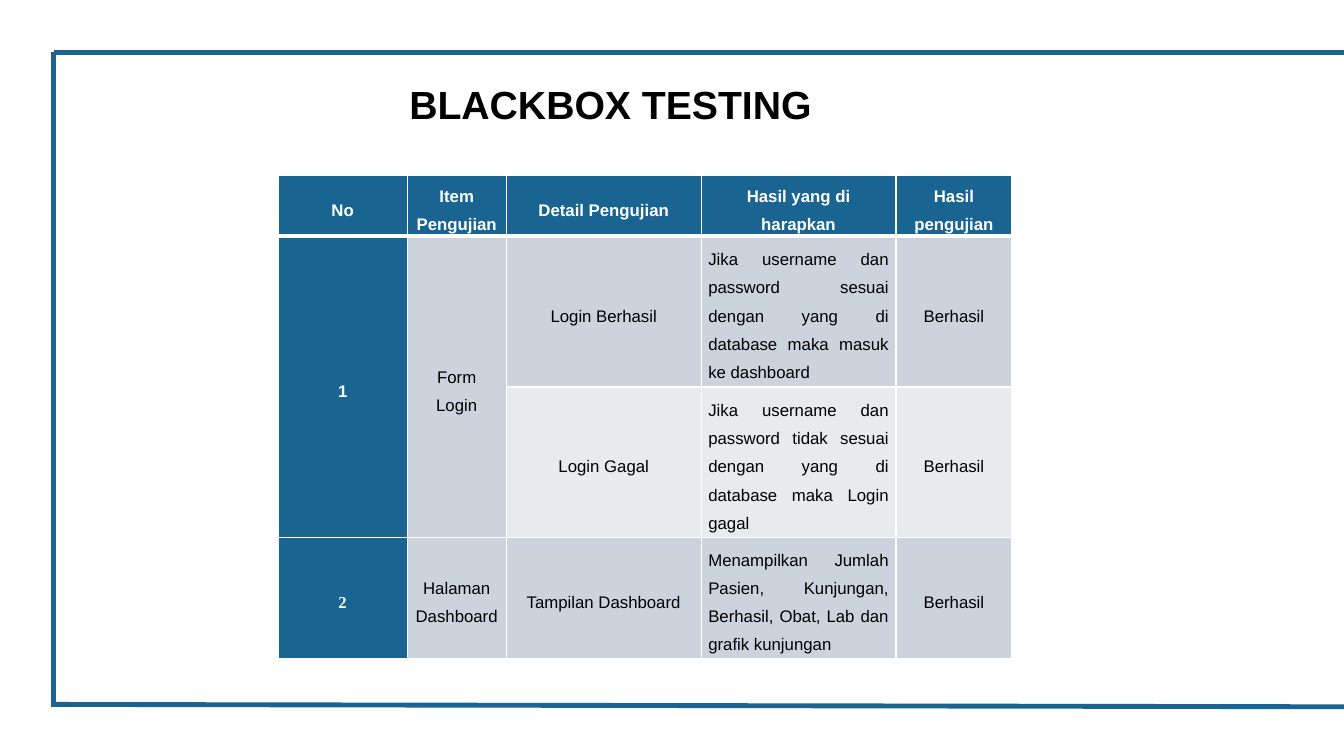
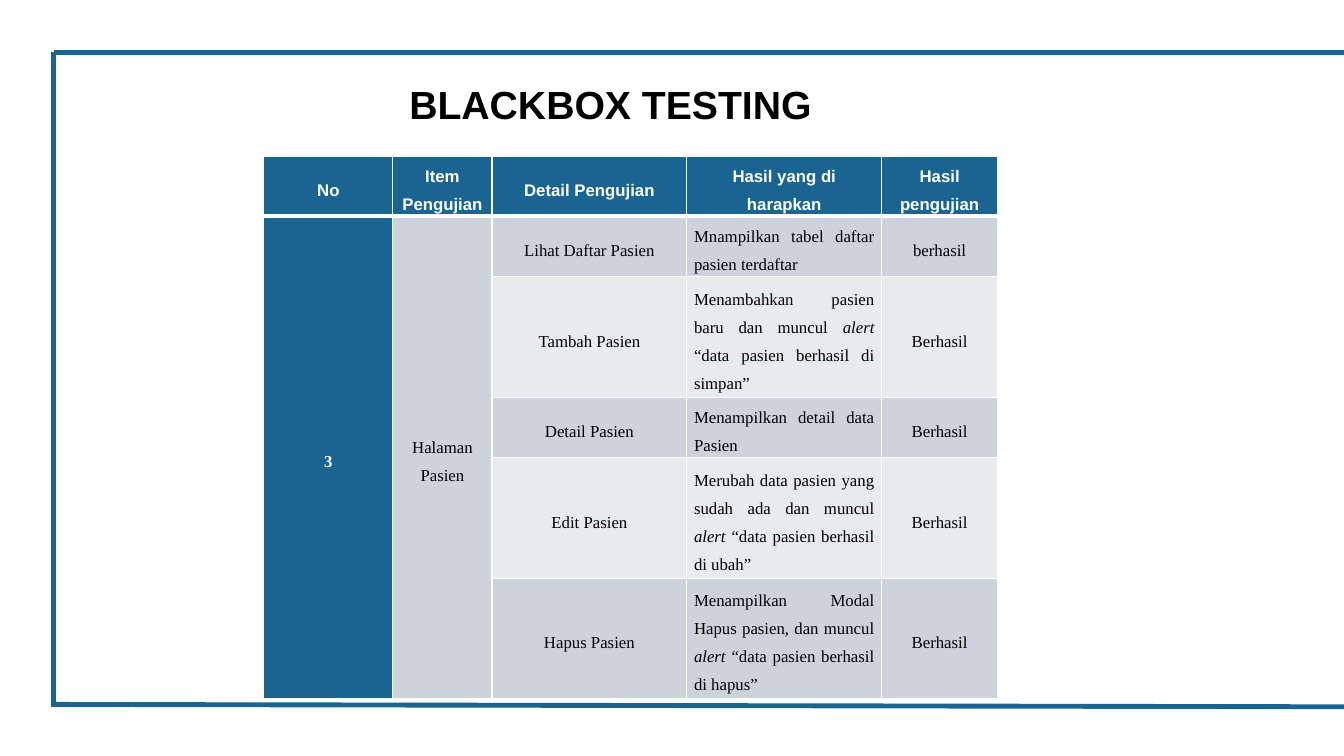
from dataclasses import dataclass

from lxml.etree import SubElement
from pptx import Presentation
from pptx.dml.color import RGBColor
from pptx.enum.shapes import MSO_CONNECTOR
from pptx.enum.text import MSO_ANCHOR as Anchor, PP_ALIGN as Align
from pptx.oxml.ns import qn
from pptx.util import Cm, Pt

BLUE = RGBColor(0x19, 0x64, 0x91)
BAND_DARK = RGBColor(0xCC, 0xD3, 0xDC)
BAND_LIGHT = RGBColor(0xE8, 0xEA, 0xEE)
WHITE = RGBColor(0xFF, 0xFF, 0xFF)
BLACK = RGBColor(0, 0, 0)

SANS = "Arial"
SERIF = "Times New Roman"

SLIDE_WIDTH, SLIDE_HEIGHT = 33.87, 19.05
FRAME_LEFT, FRAME_TOP, FRAME_BOTTOM = 1.35, 1.32, 17.81
FRAME_LINES = (
    (FRAME_LEFT, FRAME_TOP, SLIDE_WIDTH, FRAME_TOP),
    (FRAME_LEFT, FRAME_BOTTOM, FRAME_LEFT, FRAME_TOP),
    (FRAME_LEFT, 17.75, SLIDE_WIDTH, FRAME_BOTTOM),
)
TITLE = "BLACKBOX TESTING"
HEADERS = ("No", "Item Pengujian", "Detail Pengujian",
           "Hasil yang di harapkan", "Hasil pengujian")
COLUMN_WIDTHS = (3.25, 2.5, 4.91, 4.91, 2.92)
LINE_HEIGHT = 0.76
HEADER_LINES = 2
EXPECTED_COLUMN = 3


@dataclass(frozen=True)
class TestCase:
    detail: str
    expected: str
    lines: int
    result: str = "Berhasil"


@dataclass(frozen=True)
class TestGroup:
    number: str
    item: str
    cases: tuple[TestCase, ...]
    font: str = SANS
    number_font: str = SERIF


@dataclass(frozen=True)
class TestPage:
    left: float
    top: float
    groups: tuple[TestGroup, ...]


PAGES = (
    TestPage(7.01, 4.43, (
        TestGroup("1", "Form Login", (
            TestCase("Login Berhasil", "Jika username dan password sesuai dengan "
                     "yang di database maka masuk ke dashboard", 5),
            TestCase("Login Gagal", "Jika username dan password tidak sesuai dengan "
                     "yang di database maka Login gagal", 5),
        ), number_font=SANS),
        TestGroup("2", "Halaman Dashboard", (
            TestCase("Tampilan Dashboard", "Menampilkan Jumlah Pasien, Kunjungan, "
                     "Berhasil, Obat, Lab dan grafik kunjungan", 4),
        )),
    )),
    TestPage(6.65, 3.93, (
        TestGroup("3", "Halaman Pasien", (
            TestCase("Lihat Daftar Pasien", "Mnampilkan tabel daftar pasien terdaftar",
                     2, "berhasil"),
            TestCase("Tambah Pasien", "Menambahkan pasien baru dan muncul *alert* "
                     "“data pasien berhasil di simpan”", 4),
            TestCase("Detail Pasien", "Menampilkan detail data Pasien", 2),
            TestCase("Edit Pasien", "Merubah data pasien yang sudah ada dan muncul "
                     "*alert* “data pasien berhasil di ubah”", 4),
            TestCase("Hapus Pasien", "Menampilkan Modal Hapus pasien, dan muncul "
                     "*alert* “data pasien berhasil di hapus”", 4),
        ), font=SERIF),
    )),
)


def write_text(frame, text: str, *, size: float = 12, font: str = SANS,
               color: RGBColor = BLACK, bold: bool = False, align=Align.CENTER,
               line_spacing: float = 1.5, space_after: float = 8) -> None:
    """Write one paragraph; parts between asterisks are italic."""
    para = frame.paragraphs[0]
    para.alignment = align
    para.line_spacing = line_spacing
    para.space_after = Pt(space_after)
    for index, part in enumerate(text.split("*")):
        span = para.add_run()
        span.text = part
        span.font.size = Pt(size)
        span.font.name = font
        span.font.color.rgb = color
        span.font.bold = bold
        span.font.italic = index % 2 == 1


def set_borders(cell, top: float, bottom: float) -> None:
    properties = cell._tc.get_or_add_tcPr()
    for side, width in (("L", 1), ("R", 1), ("T", top), ("B", bottom)):
        line = SubElement(properties, qn(f"a:ln{side}"), w=str(Pt(width)))
        fill = SubElement(line, qn("a:solidFill"))
        SubElement(fill, qn("a:srgbClr"), val=str(WHITE))


def style_cell(cell, row: int, column: int) -> None:
    set_borders(cell, top=3 if row == 1 else 1, bottom=3 if row == 0 else 1)
    cell.margin_left = cell.margin_right = Cm(0.18)
    cell.margin_top = cell.margin_bottom = 0
    cell.vertical_anchor = Anchor.MIDDLE
    cell.fill.solid()
    if row == 0 or column == 0:
        cell.fill.fore_color.rgb = BLUE
    else:
        # The item column keeps the dark band throughout.
        dark = column == 1 or row % 2 == 1
        cell.fill.fore_color.rgb = BAND_DARK if dark else BAND_LIGHT


def add_group(table, group: TestGroup, first_row: int) -> None:
    last_row = first_row + len(group.cases) - 1
    if last_row > first_row:
        for column in (0, 1):
            table.cell(first_row, column).merge(table.cell(last_row, column))
    write_text(table.cell(first_row, 0).text_frame, group.number,
               font=group.number_font, color=WHITE, bold=True)
    write_text(table.cell(first_row, 1).text_frame, group.item, font=group.font)
    for row, case in enumerate(group.cases, first_row):
        for column, text in enumerate((case.detail, case.expected, case.result), 2):
            align = Align.JUSTIFY if column == EXPECTED_COLUMN else Align.CENTER
            write_text(table.cell(row, column).text_frame, text,
                       font=group.font, align=align)


def add_test_table(slide, page: TestPage) -> None:
    lines = [HEADER_LINES] + [case.lines for group in page.groups for case in group.cases]
    table = slide.shapes.add_table(
        len(lines), len(HEADERS), Cm(page.left), Cm(page.top),
        Cm(sum(COLUMN_WIDTHS)), Cm(sum(lines) * LINE_HEIGHT)).table
    for column, width in zip(table.columns, COLUMN_WIDTHS):
        column.width = Cm(width)
    for row, count in enumerate(lines):
        table.rows[row].height = Cm(count * LINE_HEIGHT)
        for column in range(len(HEADERS)):
            style_cell(table.cell(row, column), row, column)
    for column, header in enumerate(HEADERS):
        write_text(table.cell(0, column).text_frame, header, color=WHITE, bold=True)
    first_row = 1
    for group in page.groups:
        add_group(table, group, first_row)
        first_row += len(group.cases)


def add_frame(slide, layout) -> None:
    """Draw the frame lines and move them to the layout that all slides share."""
    for ends in FRAME_LINES:
        connector = slide.shapes.add_connector(
            MSO_CONNECTOR.STRAIGHT, *(Cm(end) for end in ends))
        connector.line.color.rgb = BLUE
        connector.line.width = Pt(3.5)
        SubElement(connector.element.spPr, qn("a:effectLst"))
        layout.element.cSld.spTree.append(connector.element)


def place_title(layout) -> None:
    title = layout.placeholders[0]
    title.left, title.top = Cm(10.06), Cm(1.88)
    title.width, title.height = Cm(10.77), Cm(1.45)


def add_title(slide) -> None:
    frame = slide.shapes.title.text_frame
    frame.word_wrap = False
    frame.vertical_anchor = Anchor.MIDDLE
    write_text(frame, TITLE, size=28, bold=True, align=Align.LEFT,
               line_spacing=1.0, space_after=0)


def main() -> None:
    deck = Presentation()
    deck.slide_width, deck.slide_height = Cm(SLIDE_WIDTH), Cm(SLIDE_HEIGHT)
    layout = deck.slide_layouts.get_by_name("Title Only")
    place_title(layout)
    for index, page in enumerate(PAGES):
        slide = deck.slides.add_slide(layout)
        if index == 0:
            add_frame(slide, layout)
        add_title(slide)
        add_test_table(slide, page)
    deck.save("out.pptx")


if __name__ == "__main__":
    main()
